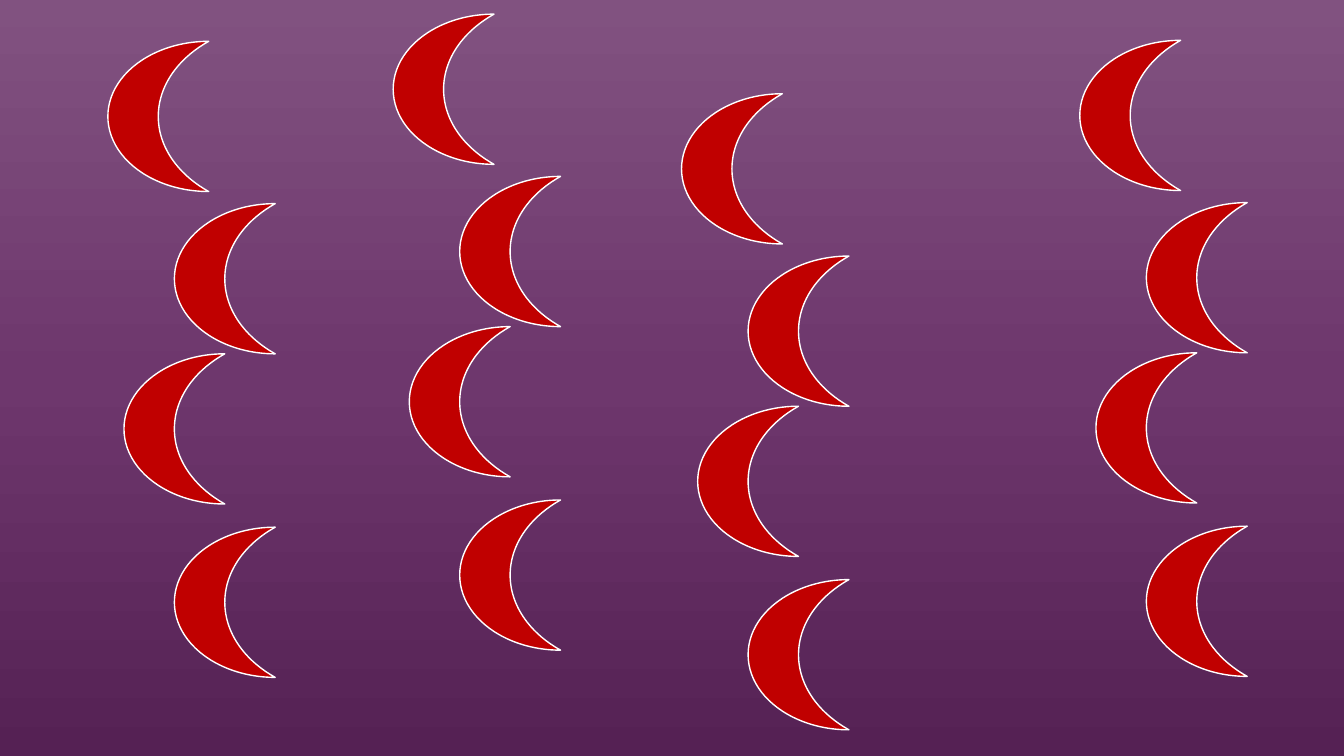
from copy import deepcopy

from pptx import Presentation
from pptx.dml.color import RGBColor
from pptx.enum.shapes import MSO_SHAPE
from pptx.oxml.ns import qn
from pptx.util import Inches, Pt

MOON = MSO_SHAPE.MOON
RED = RGBColor(0xC0, 0x00, 0x00)
WHITE = RGBColor(0xFF, 0xFF, 0xFF)
LIGHT = RGBColor(0x81, 0x52, 0x80)
PLUM = RGBColor(0x6E, 0x37, 0x6D)
DARK = RGBColor(0x55, 0x21, 0x54)

deck = Presentation()
deck.slide_width = Inches(13.33)
deck.slide_height = Inches(7.5)
slide = deck.slides.add_slide(deck.slide_layouts[6])

# Background: three-stop gradient running from top to bottom
fill = slide.background.fill
fill.gradient()
fill.gradient_angle = 270
stops = slide.element.find(".//" + qn("a:gsLst"))
stops.append(deepcopy(stops[-1]))
shades = [(0, LIGHT), (0.5, PLUM), (1, DARK)]
for stop, (place, color) in zip(fill.gradient_stops, shades):
    stop.position = place
    stop.color.rgb = color

# Four groups of moons, each placed by its top moon
groups = [(1.07, 0.41), (3.9, 0.14), (6.76, 0.93), (10.71, 0.4)]
steps = [(0.16, 3.1), (0.66, 1.61), (0, 0), (0.66, 4.82)]
for left, top in groups:
    for right, down in steps:
        moon = slide.shapes.add_shape(
            MOON, Inches(left + right), Inches(top + down), Inches(1), Inches(1.49)
        )
        moon.shadow.inherit = False
        moon.fill.solid()
        moon.fill.fore_color.rgb = RED
        moon.line.color.rgb = WHITE
        moon.line.width = Pt(1)

deck.save("out.pptx")
